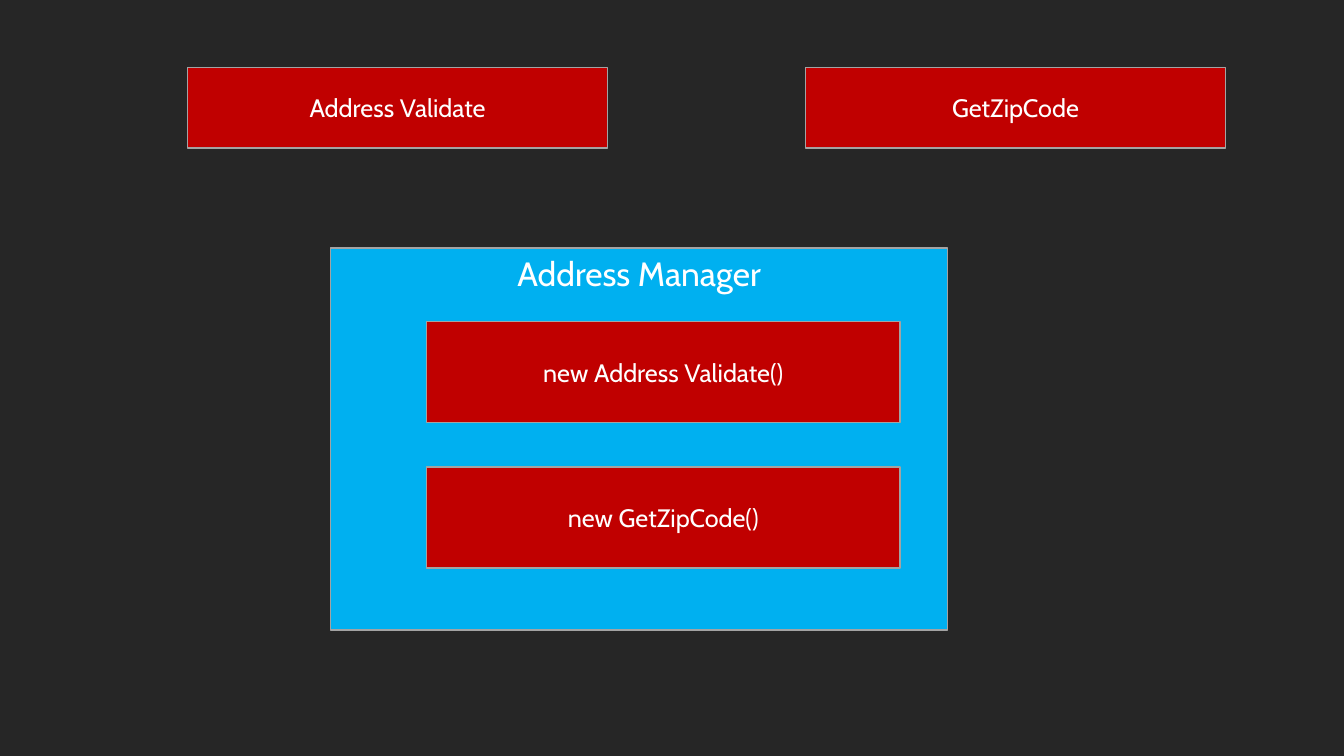
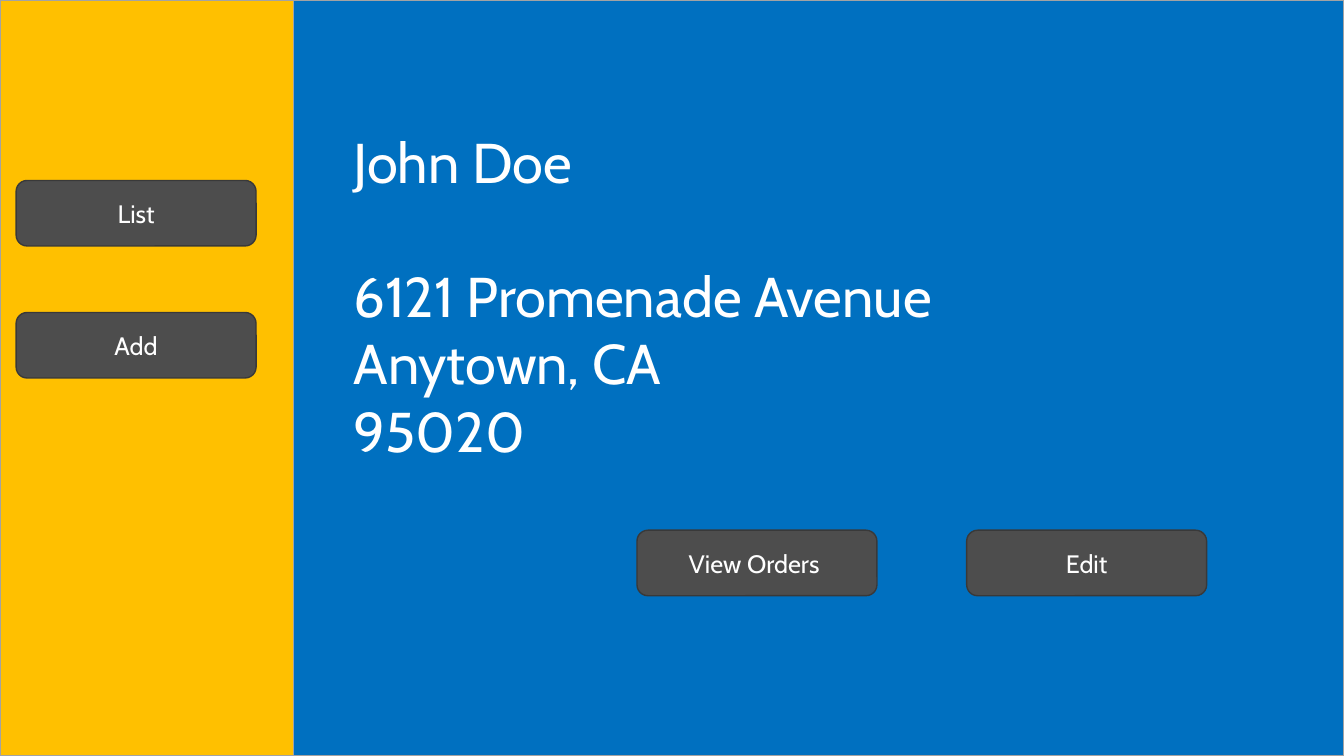
from dataclasses import dataclass

from pptx import Presentation
from pptx.dml.color import RGBColor
from pptx.enum import shapes, text
from pptx.util import Pt


@dataclass(frozen=True)
class Theme:
    font: str = "Cabin"
    background: str = "262626"
    white: str = "FFFFFF"
    outline: str = "A3A3A3"
    service: str = "C00000"
    manager: str = "00B0F0"
    sidebar: str = "FFC000"
    detail: str = "0070C0"
    button: str = "4D4D4D"
    button_outline: str = "393939"
    label_size: int = 18
    heading_size: int = 24
    detail_size: int = 40


THEME = Theme()
WIDTH, HEIGHT = 960, 540

# Content: labels, then the first box (left, top, width, height) and the step to the next.
SERVICES = (["Address Validate", "GetZipCode"], (133.9, 48.2, 300.2, 57.6), (441.4, 0))
MANAGER = ("Address Manager", (236.2, 177.1, 440.6, 272.9))
INSTANCES = (["new Address Validate()", "new GetZipCode()"], (304.6, 229.7, 338.4, 72), (0, 104))

MENU = (["List", "Add"], (11.5, 128.9, 171.4, 46.8), (0, 94.3))
ACTIONS = (["View Orders ", "Edit"], (455, 378.7, 171.4, 46.8), (235.5, 0))
CUSTOMER = ["John Doe", "6121 Promenade Avenue", "Anytown, CA", "95020"]
SIDEBAR_WIDTH = 209.5
CUSTOMER_LEFT, CUSTOMER_TOP = 43.2, 91
NAME_GAP = 48


def color(value):
    return RGBColor.from_string(value)


def write(frame, lines, size=THEME.label_size, align=text.PP_ALIGN.CENTER,
          anchor=text.MSO_ANCHOR.MIDDLE, first_gap=0):
    """Fill a text frame, one paragraph a line; first_gap follows the first."""
    frame.word_wrap = True
    frame.vertical_anchor = anchor
    for index, line in enumerate(lines):
        paragraph = frame.add_paragraph() if index else frame.paragraphs[0]
        paragraph.alignment = align
        if index == 0 and first_gap:
            paragraph.space_after = Pt(first_gap)
        run = paragraph.add_run()
        run.text = line
        run.font.name = THEME.font
        run.font.size = Pt(size)
        run.font.color.rgb = color(THEME.white)


def add_box(slide, bounds, fill, outline=THEME.outline,
            kind=shapes.MSO_SHAPE.RECTANGLE):
    box = slide.shapes.add_shape(kind, *map(Pt, bounds))
    box.shadow.inherit = False
    box.fill.solid()
    box.fill.fore_color.rgb = color(fill)
    box.line.color.rgb = color(outline)
    box.line.width = Pt(1)
    return box


def add_series(slide, series, **style):
    """Place equal labelled boxes at a constant step."""
    labels, (left, top, width, height), (step_x, step_y) = series
    for index, label in enumerate(labels):
        bounds = (left + index * step_x, top + index * step_y, width, height)
        write(add_box(slide, bounds, **style).text_frame, [label])


def build_services(slide):
    title, bounds = MANAGER
    manager = add_box(slide, bounds, THEME.manager)
    write(manager.text_frame, [title], size=THEME.heading_size,
          anchor=text.MSO_ANCHOR.TOP)
    for series in (INSTANCES, SERVICES):
        add_series(slide, series, fill=THEME.service)


def build_customer(slide):
    add_box(slide, (0, 0, SIDEBAR_WIDTH, HEIGHT), THEME.sidebar)
    detail = add_box(slide, (SIDEBAR_WIDTH, 0, WIDTH - SIDEBAR_WIDTH, HEIGHT), THEME.detail)
    frame = detail.text_frame
    frame.margin_left, frame.margin_top = Pt(CUSTOMER_LEFT), Pt(CUSTOMER_TOP)
    write(frame, CUSTOMER, size=THEME.detail_size, align=text.PP_ALIGN.LEFT,
          anchor=text.MSO_ANCHOR.TOP, first_gap=NAME_GAP)
    for series in (MENU, ACTIONS):
        add_series(slide, series, fill=THEME.button, outline=THEME.button_outline,
                   kind=shapes.MSO_SHAPE.ROUNDED_RECTANGLE)


def main():
    prs = Presentation()
    prs.slide_width, prs.slide_height = Pt(WIDTH), Pt(HEIGHT)
    backdrop = prs.slide_master.background.fill
    backdrop.solid()
    backdrop.fore_color.rgb = color(THEME.background)
    for build in (build_services, build_customer):
        build(prs.slides.add_slide(prs.slide_layouts[6]))
    prs.save("out.pptx")


if __name__ == "__main__":
    main()
